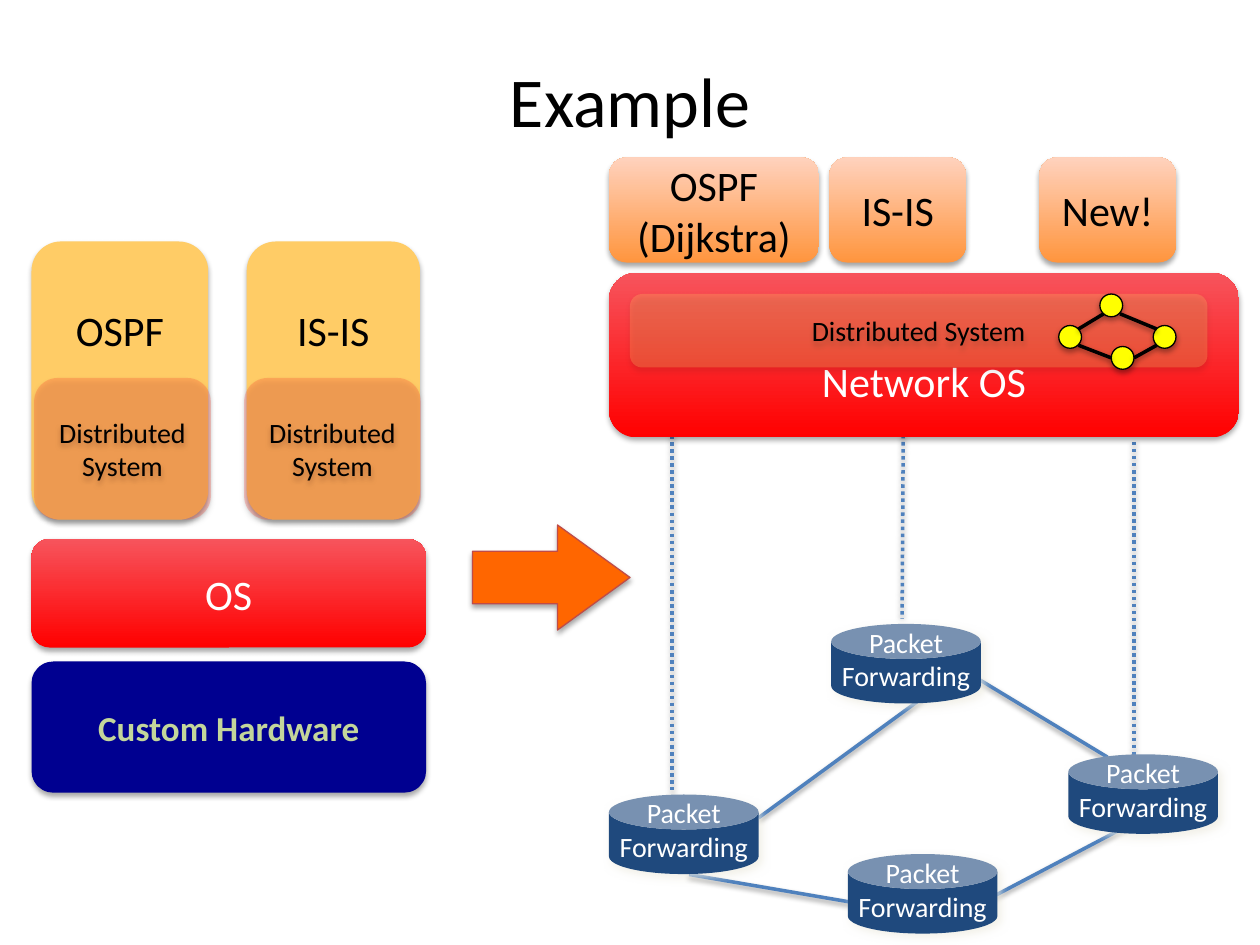
import pptx
import pptx.util
import pptx.dml.color
import pptx.enum.dml
import pptx.enum.shapes
import pptx.enum.text
import pptx.oxml
import pptx.oxml.ns
from pptx.util import Pt

SHAPES = pptx.enum.shapes.MSO_SHAPE
RED = ("FF0000", "F7545C")
ORANGE = ("FF953E", "FFD2BD")
SOFT = ("000000", 35, 3.1, 1.8, 90)
LINE_SHADOW = ("000000", 38, 3.1, 1.6, 90)
CAN_SHADOW = ("EEECE1", 75, 5, 3, 45)


def color(value):
    return pptx.dml.color.RGBColor.from_string(value)


def finish(shape, shadow, text="", size=24, text_color="000000", opacity=None):
    """Apply shadow, fill opacity and centred text."""
    namespace = pptx.oxml.ns.nsdecls("a")
    tint, alpha, blur, distance, angle = shadow
    properties = shape._element.spPr
    for old in properties.findall(pptx.oxml.ns.qn("a:effectLst")):
        properties.remove(old)
    properties.append(pptx.oxml.parse_xml(
        f'<a:effectLst {namespace}><a:outerShdw blurRad="{Pt(blur)}" dist="{Pt(distance)}" '
        f'dir="{angle * 60000}" rotWithShape="0"><a:srgbClr val="{tint}">'
        f'<a:alpha val="{alpha * 1000}"/></a:srgbClr></a:outerShdw></a:effectLst>'))
    if opacity:
        fill_color = properties.find(pptx.oxml.ns.qn("a:solidFill"))[0]
        fill_color.append(pptx.oxml.parse_xml(f'<a:alpha {namespace} val="{opacity * 1000}"/>'))
    if text:
        shape.text_frame.text = text
        shape.text_frame.word_wrap = True
        shape.text_frame.vertical_anchor = pptx.enum.text.MSO_ANCHOR.MIDDLE
        for paragraph in shape.text_frame.paragraphs:
            paragraph.alignment = pptx.enum.text.PP_ALIGN.CENTER
            for run in paragraph.runs:
                run.font.name = "Calibri"
                run.font.size = Pt(size)
                run.font.color.rgb = color(text_color)


def add_block(kind, box, fill, outline=None):
    """Add a preset shape; a pair of colours gives a bottom-to-top gradient."""
    shape = slide.shapes.add_shape(kind, *[Pt(length) for length in box])
    shape.shadow.inherit = False
    if isinstance(fill, tuple):
        shape.fill.gradient()
        shape.fill.gradient_angle = 90
        for stop, value in zip(shape.fill.gradient_stops, fill):
            stop.color.rgb = color(value)
    else:
        shape.fill.solid()
        shape.fill.fore_color.rgb = color(fill)
    if outline:
        shape.line.color.rgb = color(outline)
        shape.line.width = Pt(0.75)
    else:
        shape.line.fill.background()
    return shape


presentation = pptx.Presentation()
presentation.slide_width = Pt(720)
presentation.slide_height = Pt(540)
slide = presentation.slides.add_slide(presentation.slide_layouts[6])

# Title
title = slide.shapes.add_textbox(Pt(36), Pt(12), Pt(648), Pt(90))
title.text_frame.text = "Example"
title.text_frame.word_wrap = True
title.text_frame.vertical_anchor = pptx.enum.text.MSO_ANCHOR.MIDDLE
title_paragraph = title.text_frame.paragraphs[0]
title_paragraph.alignment = pptx.enum.text.PP_ALIGN.CENTER
title_paragraph.runs[0].font.name = "Calibri"
title_paragraph.runs[0].font.size = Pt(40)
title_paragraph.runs[0].font.color.rgb = color("000000")

# Traditional stack on the left
hardware = add_block(SHAPES.ROUNDED_RECTANGLE, (18, 378, 225.5, 75), "000090")
finish(hardware, SOFT, "Custom Hardware", 20, "C3D69B")
hardware.text_frame.paragraphs[0].runs[0].font.bold = True
system = add_block(SHAPES.ROUNDED_RECTANGLE, (18, 308, 225.5, 62), RED)
finish(system, SOFT, "OS", 24, "FFFFFF")
for name, left, width in (("OSPF", 18, 101), ("IS-IS", 141, 99)):
    protocol = add_block(SHAPES.ROUNDED_RECTANGLE, (left, 138, width, 159), "FFCC66")
    finish(protocol, SOFT, name)
    protocol.text_frame.margin_bottom = Pt(62)
for left in (19.5, 139.5):
    layer = add_block(SHAPES.ROUNDED_RECTANGLE, (left, 216, 101, 81), "FA3D2E")
    finish(layer, SOFT, "Distributed\nSystem", 16, opacity=25)

# Arrow between the two designs
arrow = add_block(SHAPES.RIGHT_ARROW, (270, 300, 90, 60), "FF6600", "BF4C48")
arrow.adjustments[1] = 0.69
finish(arrow, SOFT)

# Control applications
for name, left, width in (("OSPF\n(Dijkstra)", 348, 120), ("IS-IS", 474, 78), ("New!", 594, 78)):
    application = add_block(SHAPES.ROUNDED_RECTANGLE, (left, 90, width, 60), ORANGE)
    finish(application, SOFT, name)

# Lines: control links, then links between forwarders, then the small topology
control_links = [(384, 232.5, 384, 451.5), (516.2, 240.5, 515.5, 353.5), (648, 252.5, 648, 431.5)]
forwarder_links = [(433.5, 467.3, 537.8, 391), (550.8, 383, 632.9, 432.7),
                   (557.3, 517.7, 653, 467.3), (393.8, 499.7, 499, 517.7)]
topology_links = [(616.3, 188, 630.7, 179.3), (635, 204.5, 616.3, 197.3),
                  (661, 188, 640, 179.3), (648, 204.5, 661, 197.3)]


def add_links(links, line_color, dotted=False):
    for ends in links:
        link = slide.shapes.add_connector(
            pptx.enum.shapes.MSO_CONNECTOR.STRAIGHT, *[Pt(length) for length in ends])
        link.line.color.rgb = color(line_color)
        link.line.width = Pt(2)
        if dotted:
            link.line.dash_style = pptx.enum.dml.MSO_LINE.ROUND_DOT
        finish(link, LINE_SHADOW)


add_links(control_links, "4F81BD", dotted=True)

# Network operating system
network_system = add_block(SHAPES.ROUNDED_RECTANGLE, (348, 156, 360, 94), RED)
finish(network_system, SOFT, "Network OS", 24, "FFFFFF")
network_system.text_frame.margin_top = Pt(33)

# Packet forwarders
add_links(forwarder_links, "4F81BD")
for left, top in ((348, 454), (484.5, 488), (475, 356.5), (610.5, 431)):
    forwarder = add_block(SHAPES.CAN, (left, top, 85.5, 45.5), "1F497D")
    forwarder.adjustments[0] = 0.44
    finish(forwarder, CAN_SHADOW, "Packet\nForwarding", 16, "FFFFFF")
    forwarder.text_frame.word_wrap = False
    forwarder.text_frame.margin_top = 0
    forwarder.text_frame.margin_bottom = Pt(15.5)

# Distributed system with its topology view
shared_layer = add_block(SHAPES.ROUNDED_RECTANGLE, (360, 168, 330, 42), "FFCC66")
finish(shared_layer, SOFT, "Distributed System", 16, opacity=25)
for left, top in ((605, 186), (628.5, 168), (659, 186), (635, 198)):
    node = add_block(SHAPES.OVAL, (left, top, 13, 13), "FFFF00", "000000")
    finish(node, SOFT)
add_links(topology_links, "000000")

presentation.save("out.pptx")
